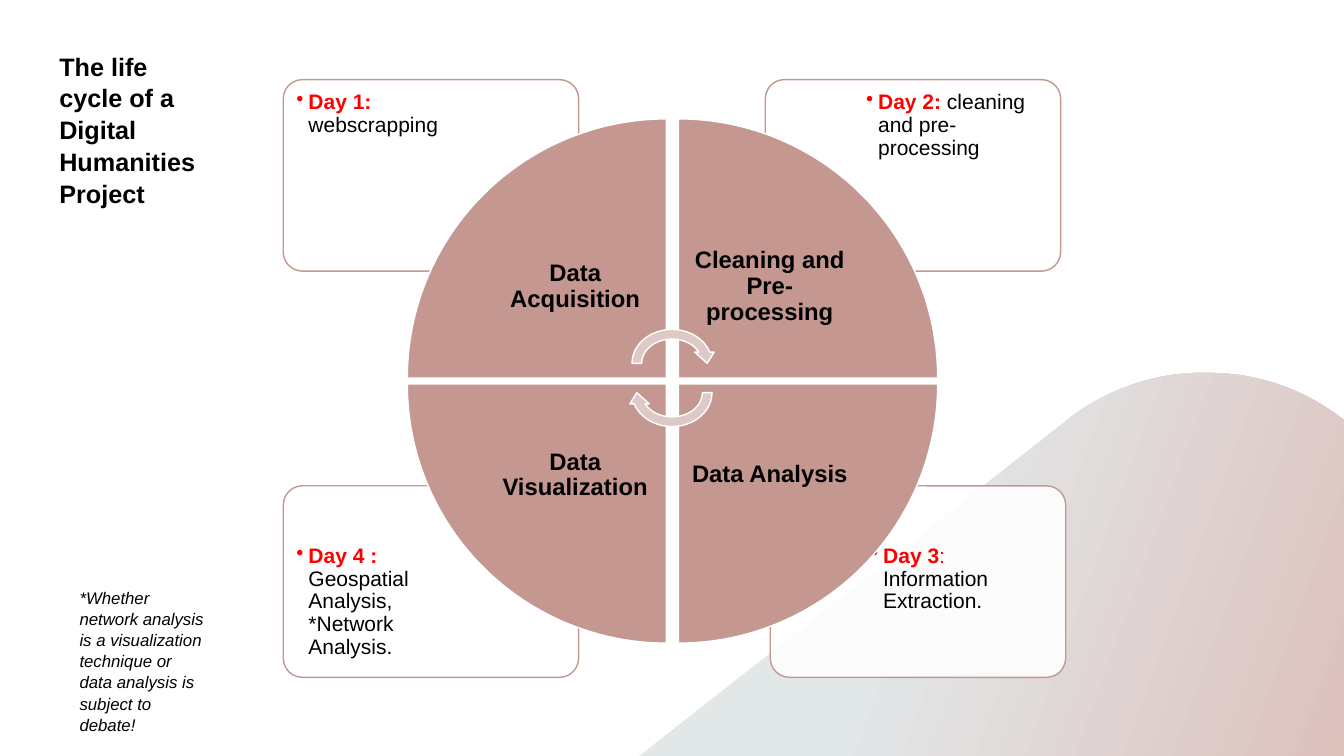
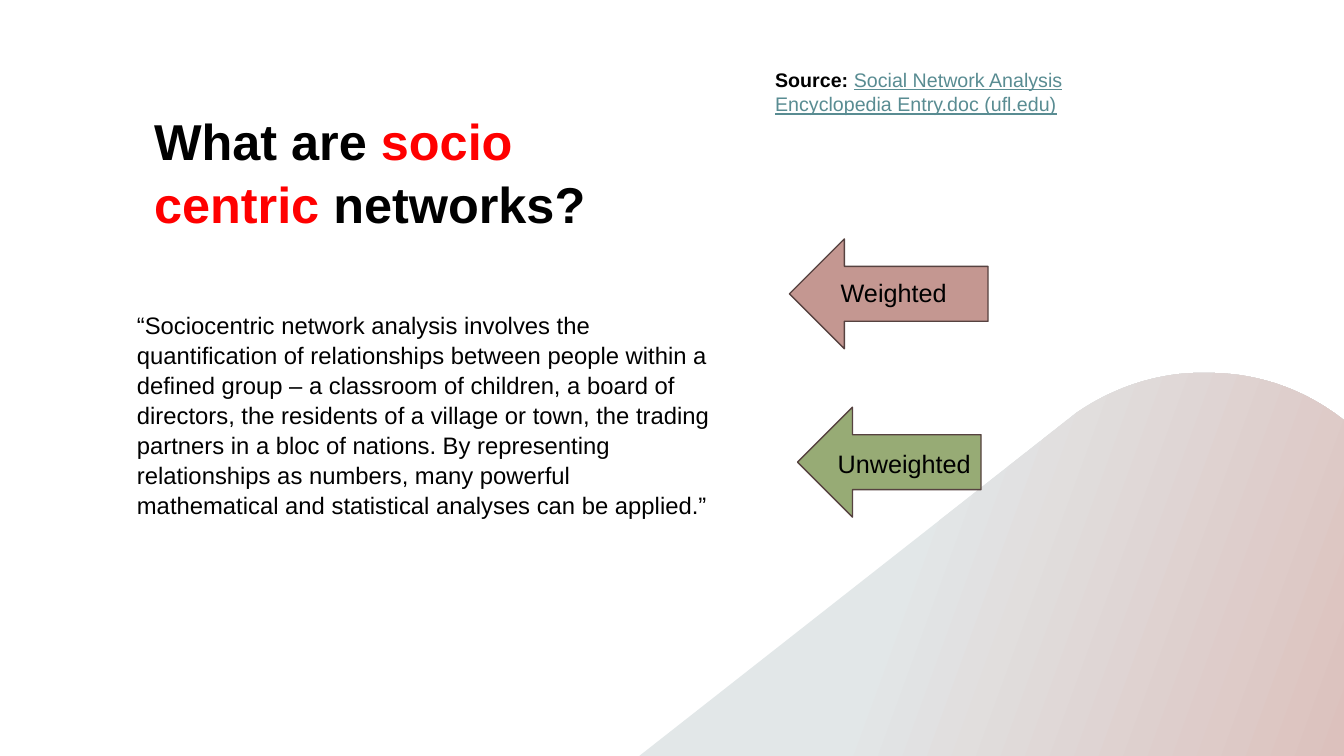
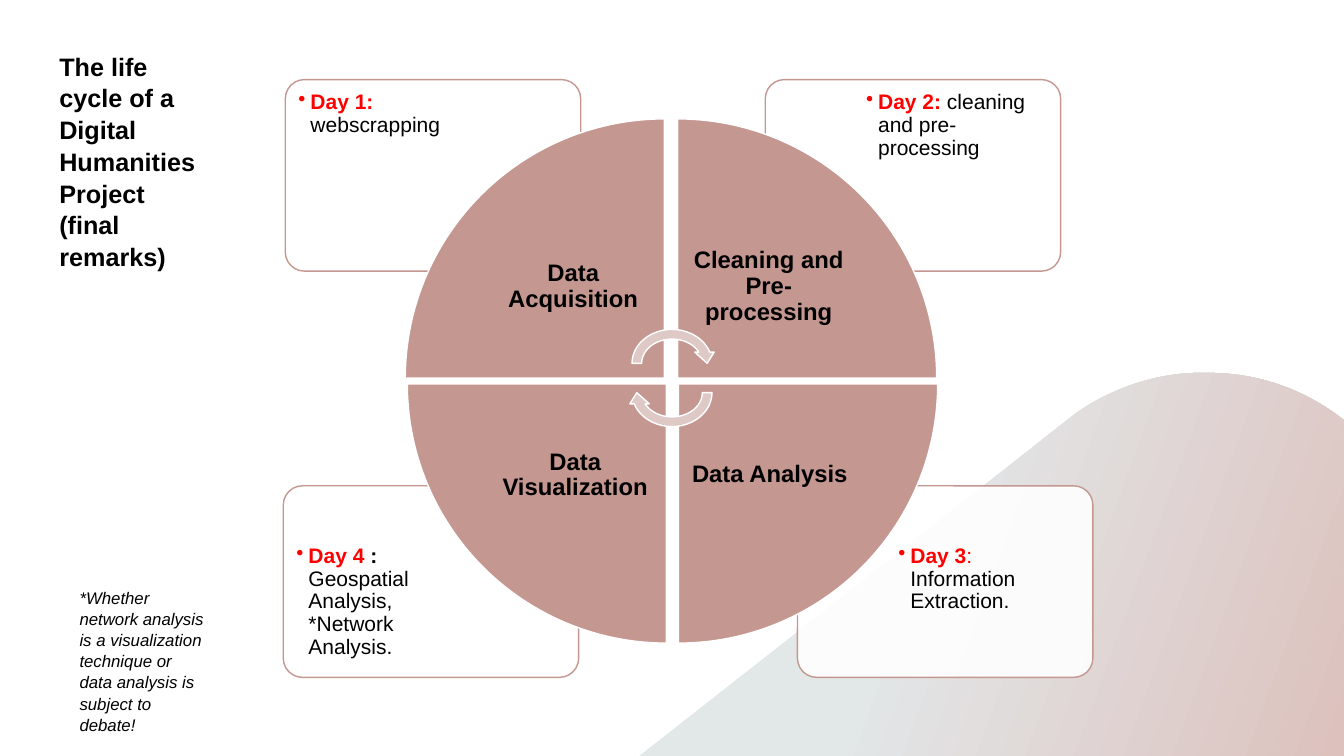
from dataclasses import dataclass

import lxml.etree
import pptx
import pptx.dml.color
import pptx.enum.dml
import pptx.enum.shapes
import pptx.enum.text
import pptx.oxml.ns
import pptx.slide
import pptx.util
from pptx.util import Inches

RGBColor = pptx.dml.color.RGBColor
MSO_SHAPE = pptx.enum.shapes.MSO_SHAPE
ANCHOR = pptx.enum.text.MSO_ANCHOR
ALIGN = pptx.enum.text.PP_ALIGN
qn = pptx.oxml.ns.qn

# Colours and font
BLACK = RGBColor(0x00, 0x00, 0x00)
WHITE = RGBColor(0xFF, 0xFF, 0xFF)
RED = RGBColor(0xFF, 0x00, 0x00)
ROSE = RGBColor(0xC4, 0x97, 0x91)
PALE_ROSE = RGBColor(0xDE, 0xC9, 0xC7)
GREEN = RGBColor(0x97, 0xAB, 0x75)
BROWN = RGBColor(0x56, 0x42, 0x40)
TEAL = RGBColor(0x59, 0x8C, 0x92)
HILL_GREY = RGBColor(0xE2, 0xE7, 0xE8)
HILL_PINK = RGBColor(0xDC, 0xC1, 0xBD)
FONT = "Arial"

# Sizes of the cycle diagram, in inches
CARD_WIDTH, CARD_HEIGHT = 2.93, 1.9
WEDGE = 2.57
LABEL = 1.81
CARD_TOPS = (0.79, 4.82)
CARD_TEXT_LEFT = (0.05, 0.92)
CARD_TEXT_TOP = (0.04, 0.51)
WEDGE_TOPS = (1.18, 3.81)

NOTE = ("*Whether network analysis is a visualization technique "
        "or data analysis is subject to debate!")
QUOTE = ("“Sociocentric network analysis involves the quantification of "
         "relationships between people within a defined group – a classroom of "
         "children, a board of directors, the residents of a village or town, the "
         "trading partners in a bloc of nations. By representing relationships as "
         "numbers, many powerful mathematical and statistical analyses can be "
         "applied.”")


@dataclass(frozen=True)
class Span:
    text: str
    color: RGBColor = BLACK
    bold: bool = False
    underline: bool = False


@dataclass(frozen=True)
class Area:
    left: float
    top: float
    width: float
    height: float

    def lengths(self) -> list:
        return [Inches(v) for v in (self.left, self.top, self.width, self.height)]


@dataclass(frozen=True)
class Stage:
    """One quarter of the cycle; column and row are 0 or 1."""
    column: int
    row: int
    rotation: int
    label: str
    card_left: float
    wedge_left: float
    spans: tuple


@dataclass(frozen=True)
class ArrowLabel:
    area: Area
    color: RGBColor
    text: str
    text_area: Area


# Shared drawing functions
def add_text(page: pptx.slide.Slide, area: Area, spans: tuple, size: float,
             inset: float | None = None, anchor=ANCHOR.TOP, align=ALIGN.LEFT,
             spacing: float = 1.05, bullet: bool = False, italic: bool = False):
    box = page.shapes.add_textbox(*area.lengths())
    frame = box.text_frame
    frame.word_wrap = True
    frame.vertical_anchor = anchor
    if inset is not None:
        frame.margin_left = frame.margin_right = Inches(inset)
        frame.margin_top = frame.margin_bottom = Inches(inset)
    para = frame.paragraphs[0]
    if bullet:
        props = para._p.get_or_add_pPr()
        props.set("marL", str(Inches(0.12)))
        props.set("indent", str(Inches(-0.12)))
        lxml.etree.SubElement(props, qn("a:buChar")).set("char", "•")
    para.alignment = align
    para.line_spacing = spacing
    para.font.name = FONT
    para.font.size = pptx.util.Pt(size)
    para.font.italic = italic
    for span in spans:
        run = para.add_run()
        run.text = span.text
        run.font.color.rgb = span.color
        run.font.bold = span.bold
        run.font.underline = span.underline


def add_figure(page: pptx.slide.Slide, kind, area: Area, fill: RGBColor,
               line: RGBColor, rotation: int = 0):
    figure = page.shapes.add_shape(kind, *area.lengths())
    figure.shadow.inherit = False
    figure.fill.solid()
    figure.fill.fore_color.rgb = fill
    figure.line.color.rgb = line
    figure.line.width = pptx.util.Pt(1)
    figure.rotation = rotation
    return figure


def curve(start: tuple, first: tuple, second: tuple, end: tuple,
          steps: int = 24) -> list:
    """Points along a cubic curve, without its start."""
    points = []
    for step in range(1, steps + 1):
        t = step / steps
        weights = ((1 - t) ** 3, 3 * t * (1 - t) ** 2, 3 * t * t * (1 - t), t ** 3)
        points.append(tuple(
            sum(w * p[axis] for w, p in zip(weights, (start, first, second, end)))
            for axis in (0, 1)))
    return points


def add_hill(page: pptx.slide.Slide):
    """Put the gradient hill on the layout, behind every slide."""
    top = (11.99, 3.7)
    outline = curve(top, (12.47, 3.7), (12.94, 3.86), (13.33, 4.17))
    outline += [(13.33, 7.5), (6.34, 7.5), (10.62, 4.14), (10.67, 4.1)]
    outline += curve((10.67, 4.1), (11.03, 3.85), (11.45, 3.71), (11.86, 3.7))
    builder = page.shapes.build_freeform(Inches(top[0]), Inches(top[1]))
    builder.add_line_segments([(Inches(x), Inches(y)) for x, y in outline])
    hill = builder.convert_to_shape()
    hill.shadow.inherit = False
    hill.line.fill.background()
    hill.fill.gradient()
    hill.fill.gradient_angle = 340
    stops = hill.fill.gradient_stops
    for stop, position, color in zip(stops, (0.39, 1), (HILL_GREY, HILL_PINK)):
        stop.position = position
        stop.color.rgb = color
    page.slide_layout.shapes.element.append(hill.element)


# Life cycle slides
def make_stages(first_card: float, third_card: float, upper_wedges: tuple,
                day_four: tuple) -> list[Stage]:
    return [
        Stage(1, 1, 180, "Data Analysis", third_card, 6.73,
              (Span("Day 3", RED, True), Span(": ", RED),
               Span("Information Extraction."))),
        Stage(0, 1, 270, "Data Visualization", 2.81, 4.04,
              day_four + (Span(" Geospatial Analysis, *Network Analysis."),)),
        Stage(1, 0, 90, "Cleaning and Pre-processing", 7.59, upper_wedges[1],
              (Span("Day 2:", RED, True), Span(" cleaning and pre-processing"))),
        Stage(0, 0, 0, "Data Acquisition", first_card, upper_wedges[0],
              (Span("Day 1: ", RED, True), Span("webscrapping"))),
    ]


def add_card(page: pptx.slide.Slide, stage: Stage):
    left, top = stage.card_left, CARD_TOPS[stage.row]
    card = add_figure(page, MSO_SHAPE.ROUNDED_RECTANGLE,
                      Area(left, top, CARD_WIDTH, CARD_HEIGHT), WHITE, ROSE)
    card.adjustments[0] = 0.1
    color = card.fill._xPr.find(qn("a:solidFill")).find(qn("a:srgbClr"))
    lxml.etree.SubElement(color, qn("a:alpha")).set("val", "90000")
    add_text(page, Area(left + CARD_TEXT_LEFT[stage.column],
                        top + CARD_TEXT_TOP[stage.row], 1.97, 1.34),
             stage.spans, 15, inset=0.08, spacing=0.9, bullet=True)


def add_wedge(page: pptx.slide.Slide, stage: Stage):
    left, top = stage.wedge_left, WEDGE_TOPS[stage.row]
    add_figure(page, MSO_SHAPE.PIE_WEDGE, Area(left, top, WEDGE, WEDGE),
               ROSE, WHITE, stage.rotation)
    # The label sits in the corner nearest the centre of the circle
    shift = WEDGE - LABEL
    add_text(page, Area(left + shift * (1 - stage.column),
                        top + shift * (1 - stage.row), LABEL, LABEL),
             (Span(stage.label, bold=True),), 17, inset=0.13,
             anchor=ANCHOR.MIDDLE, align=ALIGN.CENTER, spacing=0.9)


def draw_cycle(page: pptx.slide.Slide, title: str, title_height: float,
               stages: list[Stage]):
    for stage in stages:
        add_card(page, stage)
    for stage in stages:
        add_wedge(page, stage)
    for top, rotation in ((3.22, 0), (3.51, 180)):
        add_figure(page, MSO_SHAPE.CIRCULAR_ARROW, Area(6.22, top, 0.89, 0.77),
                   PALE_ROSE, WHITE, rotation)
    add_text(page, Area(0.49, 0.44, 1.63, title_height),
             (Span(title, bold=True),), 18)
    add_text(page, Area(0.69, 5.77, 1.48, 1.51), (Span(NOTE),), 12, italic=True)


# Definition slide
def draw_definition(page: pptx.slide.Slide):
    add_text(page, Area(1.43, 0.63, 4.76, 1.74),
             (Span("What are ", bold=True), Span("socio centric", RED, True),
              Span(" networks?", bold=True)), 36, anchor=ANCHOR.BOTTOM)
    add_text(page, Area(1.26, 3.02, 5.96, 2.49), (Span(QUOTE),), 17)
    add_text(page, Area(7.59, 0.61, 3.96, 0.57),
             (Span("Source: ", bold=True),
              Span("Social Network Analysis Encyclopedia Entry.doc (ufl.edu)",
                   TEAL, underline=True)), 14)
    arrows = (
        ArrowLabel(Area(7.83, 2.37, 1.97, 1.09), ROSE, "Weighted",
                   Area(8.24, 2.69, 1.56, 0.4)),
        ArrowLabel(Area(7.91, 4.04, 1.82, 1.09), GREEN, "Unweighted",
                   Area(8.21, 4.38, 1.75, 0.4)),
    )
    for arrow in arrows:
        add_figure(page, MSO_SHAPE.LEFT_ARROW, arrow.area, arrow.color, BROWN)
        add_text(page, arrow.text_area, (Span(arrow.text),), 18)


def main():
    deck = pptx.Presentation()
    deck.slide_width, deck.slide_height = Inches(13.33), Inches(7.5)
    blank = deck.slide_layouts[6]
    opening, definition, closing = [deck.slides.add_slide(blank) for _ in range(3)]
    add_hill(opening)

    title = "The life cycle of a Digital Humanities Project"
    draw_cycle(opening, title, 1.62,
               make_stages(2.81, 7.64, (4.04, 6.73), (Span("Day 4 :", RED, True),)))
    draw_definition(definition)
    draw_cycle(closing, title + " (final remarks)", 2.22,
               make_stages(2.83, 7.91, (4.02, 6.72),
                           (Span("Day 4 ", RED, True), Span(":", bold=True))))
    deck.save("out.pptx")


if __name__ == "__main__":
    main()
